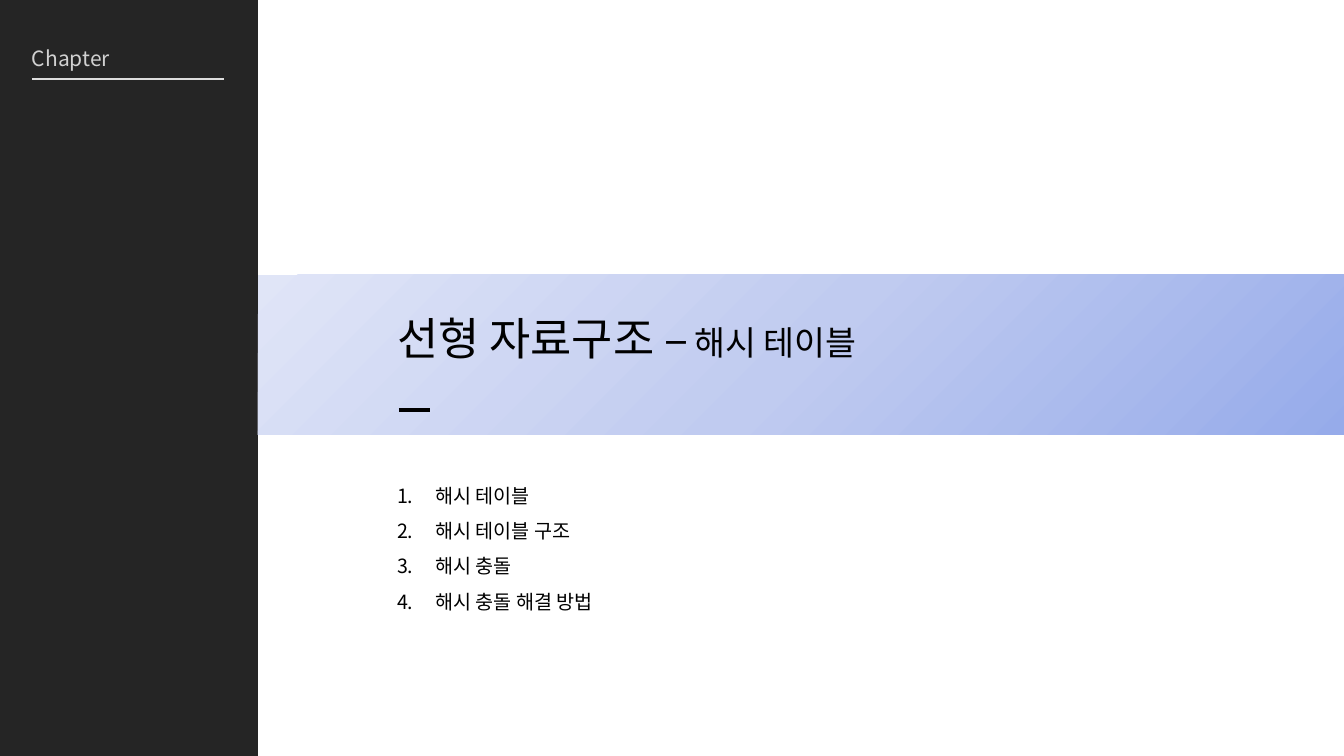
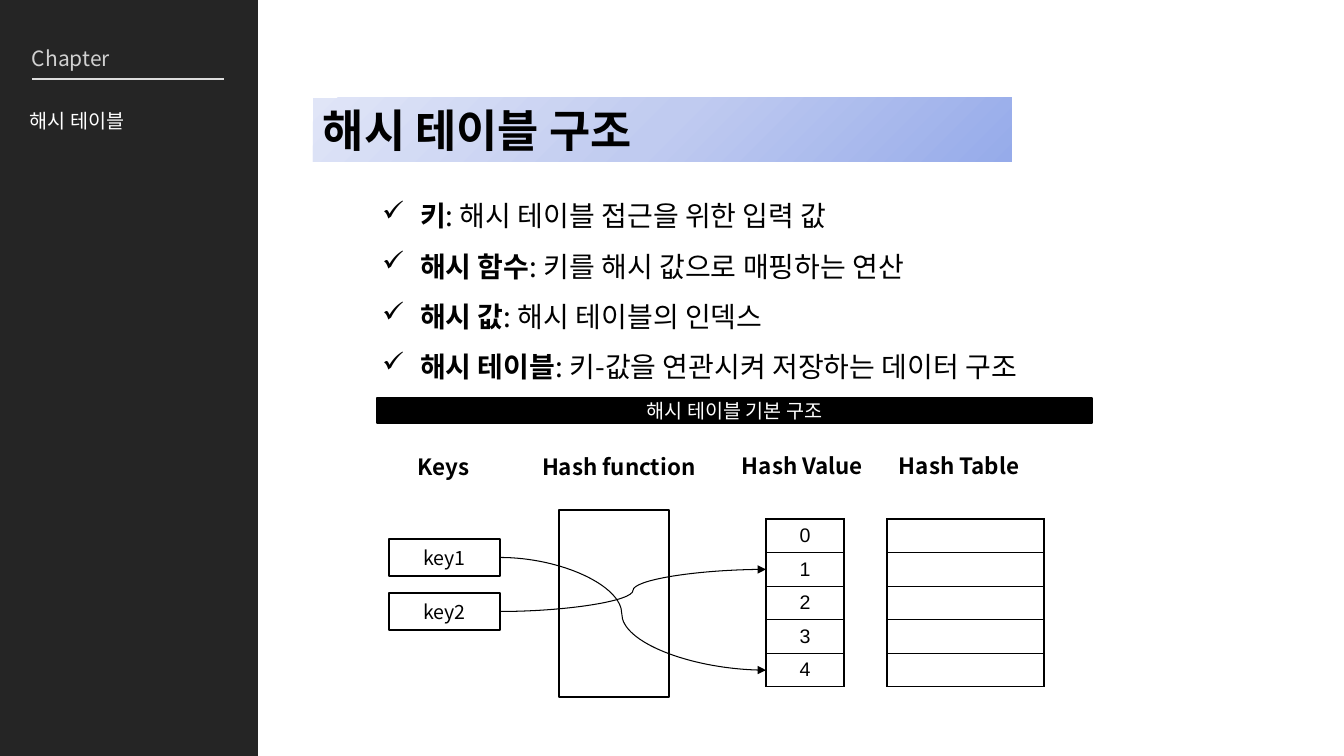
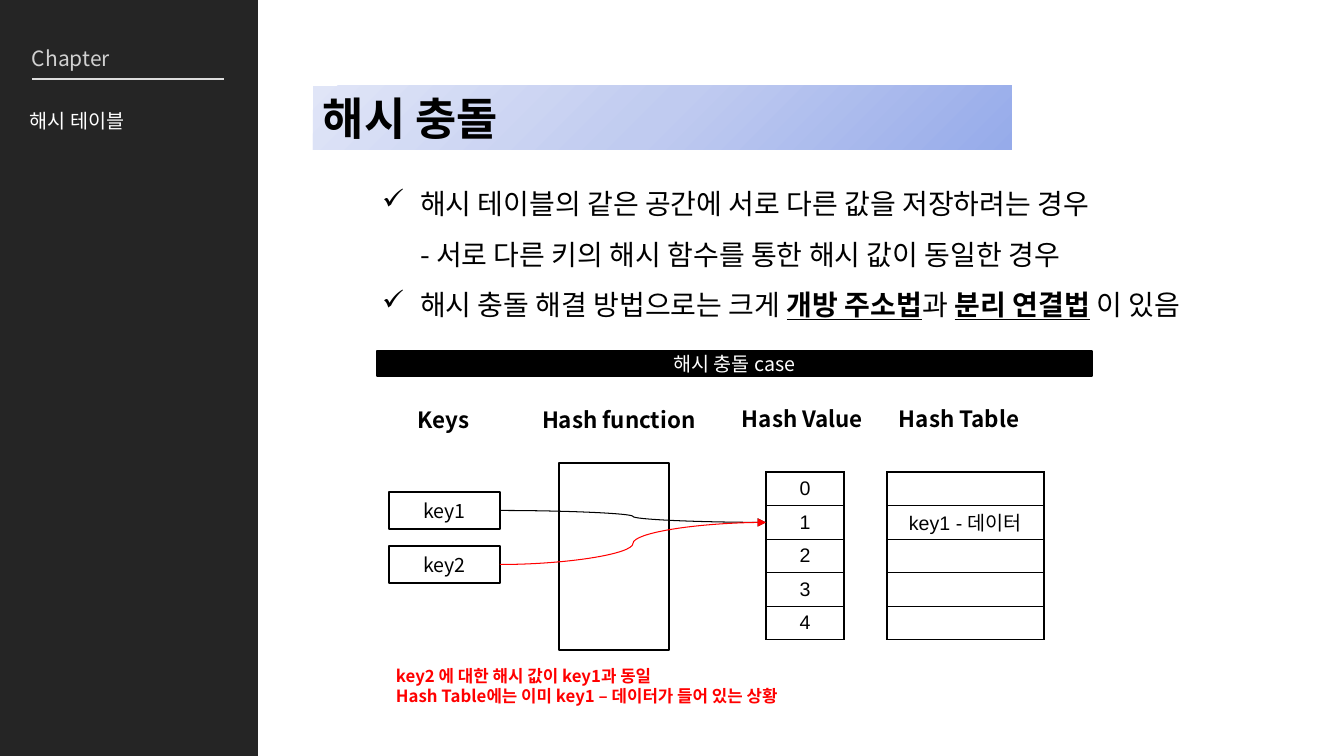
from lxml import etree
from pptx import Presentation
from pptx.dml.color import RGBColor
from pptx.enum import shapes, text
from pptx.oxml import ns, parse_xml
from pptx.util import Pt

PX = 914400 / 100.8
SANS = "Noto Sans CJK KR"
BLACK, WHITE, RED = "000000", "FFFFFF", "FF0000"
DARK, PALE, RULE = "252525", "D1D1D1", "DDDDDD"
FADE = ["96ABEA", "C0CBF0", "E0E5F7"]
BOLD = {"bold": True}
MARK = {"bold": True, "underline": True}
CHECK = '<a:buChar {} char="✓"/>'
COUNT = '<a:buAutoNum {} type="arabicPeriod"/>'

TOPIC = "해시 테이블"
COVER = ["선형 자료구조 –", (" ", {"size": Pt(18)}), (TOPIC, {"size": Pt(24)})]
AGENDA = [["해시 테이블"], ["해시 테이블 구조"], ["해시 충돌"], ["해시 충돌 해결 방법"]]

# label, left, width, offset below the caption bar
HEADS = [("Keys", 408, 76, 50), ("Hash function", 532, 186, 50),
         ("Hash Value", 732, 146, 49), ("Hash Table", 889, 154, 49)]
KEYS = ["key1", "key2"]
SLOTS = ["0", "1", "2", "3", "4"]
TABLE_H = 168

# links: key, slot, colour, bend in thousandths of a percent
PAGES = [
    {"title": "해시 테이블 구조", "top": 98, "size": (785, 209),
     "points": [
         [("키", BOLD), ": 해시 테이블 접근을 위한 입력 값"],
         [("해시 함수", BOLD), ": 키를 해시 값으로 매핑하는 연산"],
         [("해시 값", BOLD), ": 해시 테이블의 인덱스"],
         [("해시 테이블", BOLD), ": 키-값을 연관시켜 저장하는 데이터 구조"]],
     "caption": "해시 테이블 기본 구조", "bar": 398,
     "links": [(0, 4, BLACK, 45800), (1, 1, BLACK, 50000)],
     "data": ["", "", "", "", ""], "note": []},
    {"title": "해시 충돌", "top": 86, "size": (837, 157),
     "points": [
         ["해시 테이블의 같은 공간에 서로 다른 값을 저장하려는 경우", "\n",
          "- 서로 다른 키의 해시 함수를 통한 해시 값이 동일한 경우"],
         ["해시 충돌 해결 방법으로는 크게 ", ("개방 주소법", MARK), "과 ",
          ("분리 연결법", MARK), " 이 있음"]],
     "caption": "해시 충돌 case", "bar": 351,
     "links": [(0, 1, BLACK, 50000), (1, 1, RED, 50000)],
     "data": ["", "key1 - 데이터", "", "", ""],
     "note": [["key2 에 대한 해시 값이 key1과 동일"],
              ["Hash Table에는 이미 key1 – 데이터가 들어 있는 상황"]]},
]


def px(*nums):
    return [round(n * PX) for n in nums]


def rgb(code):
    return RGBColor.from_string(code)


def sub(node, tag, **attrs):
    return etree.SubElement(node, ns.qn(tag), **attrs)


def write(frame, paras, size, color=BLACK, bold=False, face=SANS,
          align=None, space=None, bullet=None):
    """Fill a text frame; each paragraph is a list of strings or (string, font settings)."""
    for i, runs in enumerate(paras):
        para = frame.paragraphs[0] if i == 0 else frame.add_paragraph()
        para.alignment = align
        para.line_spacing = space
        if bullet:
            props = para._p.get_or_add_pPr()
            indent = px(38)[0]
            props.set("marL", str(indent))
            props.set("indent", str(-indent))
            props.append(parse_xml(bullet.format(ns.nsdecls("a"))))
        font = para.font
        font.size, font.bold, font.name = Pt(size), bold, face
        font.color.rgb = rgb(color)
        sub(font._element, "a:ea", typeface=SANS)
        for item in runs:
            if item == "\n":
                para.add_line_break()
                continue
            words, extra = (item, {}) if isinstance(item, str) else item
            run = para.add_run()
            run.text = words
            for key, value in extra.items():
                setattr(run.font, key, value)


def label(slide, box, paras, size, inset=10, **style):
    frame = slide.shapes.add_textbox(*px(*box)).text_frame
    frame.word_wrap = True
    pad = px(inset)[0]
    frame.margin_left = frame.margin_right = pad
    frame.margin_top = frame.margin_bottom = px(5)[0]
    write(frame, paras, size, **style)


def block(slide, box, fill=None, line=None, width=1.5):
    shape = slide.shapes.add_shape(shapes.MSO_SHAPE.RECTANGLE, *px(*box))
    shape.shadow.inherit = False
    if fill:
        shape.fill.solid()
        shape.fill.fore_color.rgb = rgb(fill)
    else:
        shape.fill.background()
    if line:
        shape.line.color.rgb = rgb(line)
        shape.line.width = Pt(width)
    else:
        shape.line.fill.background()
    shape.text_frame.vertical_anchor = text.MSO_ANCHOR.MIDDLE
    return shape


def band(slide, box):
    """Rectangle whose colour fades from the lower right corner."""
    shape = block(slide, box)
    stops = "".join(f'<a:gs pos="{i * 50000}"><a:srgbClr val="{c}"/></a:gs>'
                    for i, c in enumerate(FADE))
    props = shape._element.spPr
    old = props.find(ns.qn("a:noFill"))
    props.replace(old, parse_xml(
        f'<a:gradFill {ns.nsdecls("a")} rotWithShape="1"><a:gsLst>{stops}</a:gsLst>'
        '<a:path path="circle"><a:fillToRect l="100000" t="100000"/></a:path>'
        '<a:tileRect r="-100000" b="-100000"/></a:gradFill>'))
    return shape


def wire(slide, ends, color, width, kind=shapes.MSO_CONNECTOR.STRAIGHT):
    line = slide.shapes.add_connector(kind, *px(*ends))
    line.line.color.rgb = rgb(color)
    line.line.width = Pt(width)
    sub(line._element.spPr, "a:effectLst")
    return line


def arrow(slide, start, end, color, bend):
    """Curved arrow from the right side of a shape to a point."""
    line = wire(slide, (0, 0, *end), color, 0.75, shapes.MSO_CONNECTOR.CURVE)
    line.begin_connect(start, 3)
    sub(line.line._get_or_add_ln(), "a:tailEnd", type="triangle")
    guides = line._element.spPr.find(ns.qn("a:prstGeom")).get_or_add_avLst()
    sub(guides, "a:gd", name="adj1", fmla=f"val {bend}")


def column(slide, left, top, width, values):
    """One-column table with thin black borders."""
    grid = slide.shapes.add_table(len(values), 1, *px(left, top, width, TABLE_H)).table
    grid.first_row = grid.horz_banding = False
    for row, value in enumerate(values):
        cell = grid.cell(row, 0)
        cell.margin_top = cell.margin_bottom = 0
        cell.vertical_anchor = text.MSO_ANCHOR.MIDDLE
        props = cell._tc.get_or_add_tcPr()
        for side in "LRTB":
            edge = sub(props, f"a:ln{side}", w=str(Pt(1)))
            sub(sub(edge, "a:solidFill"), "a:srgbClr", val=BLACK)
        cell.fill.background()
        write(cell.text_frame, [[value] if value else []], 14,
              face="Arial", align=text.PP_ALIGN.CENTER)


def start(deck, topic=None):
    """New slide with the dark side panel."""
    slide = deck.slides.add_slide(deck.slide_layouts[6])
    block(slide, (0, 0, 258, 756), DARK)
    label(slide, (27, 41, 96, 35), [["Chapter"]], 15, inset=5, color=PALE)
    wire(slide, (32, 79, 224, 79), RULE, 0.8)
    if topic:
        label(slide, (25, 92, 205, 45), [[topic]], 14, inset=5, color=WHITE, space=1.5)
    return slide


def diagram(slide, page):
    top = page["bar"]
    mid = text.PP_ALIGN.CENTER
    bar = block(slide, (377, top, 715, 25), BLACK, BLACK, 2)
    write(bar.text_frame, [[page["caption"]]], 14, WHITE, align=mid)
    for name, left, width, drop in HEADS:
        label(slide, (left, top + drop, width, 38), [[name]], 16, bold=True)
    block(slide, (559, top + 112, 110, 187), line=BLACK)
    boxes = []
    for i, name in enumerate(KEYS):
        box = block(slide, (389, top + 141 + 54 * i, 111, 37), line=BLACK)
        write(box.text_frame, [[name]], 14, align=mid)
        boxes.append(box)
    first = top + 121
    column(slide, 887, first, 157, page["data"])
    column(slide, 766, first, 78, SLOTS)
    for key, slot, color, bend in page["links"]:
        y = first + TABLE_H * (slot + 0.5) / len(SLOTS)
        arrow(slide, boxes[key], (766, y), color, bend)


def main():
    deck = Presentation()
    deck.slide_width, deck.slide_height = px(1344, 756)

    cover = start(deck)
    band(cover, (258, 275, 1086, 160))
    label(cover, (392, 306, 870, 65), [COVER], 32, inset=5)
    wire(cover, (399, 410, 430, 410), BLACK, 3)
    label(cover, (392, 467, 830, 152), AGENDA, 14, inset=5, space=1.5, bullet=COUNT)

    for page in PAGES:
        slide = start(deck, TOPIC)
        title = band(slide, (313, page["top"], 699, 64))
        write(title.text_frame, [[page["title"]]], 32, bold=True,
              align=text.PP_ALIGN.LEFT)
        label(slide, (372, page["top"] + 79, *page["size"]), page["points"], 20,
              space=1.5, bullet=CHECK)
        diagram(slide, page)
        if page["note"]:
            label(slide, (386, 661, 532, 50), page["note"], 12, color=RED, bold=True)

    deck.save("out.pptx")


if __name__ == "__main__":
    main()
